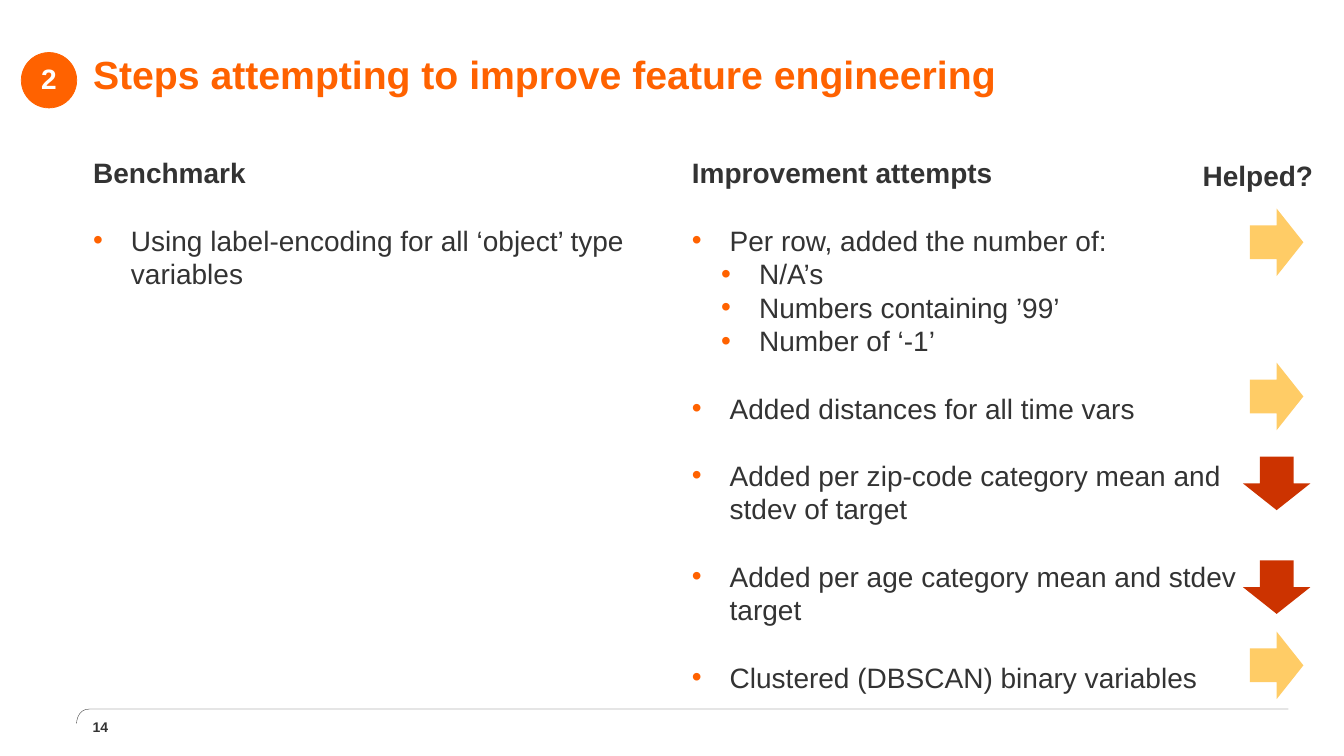
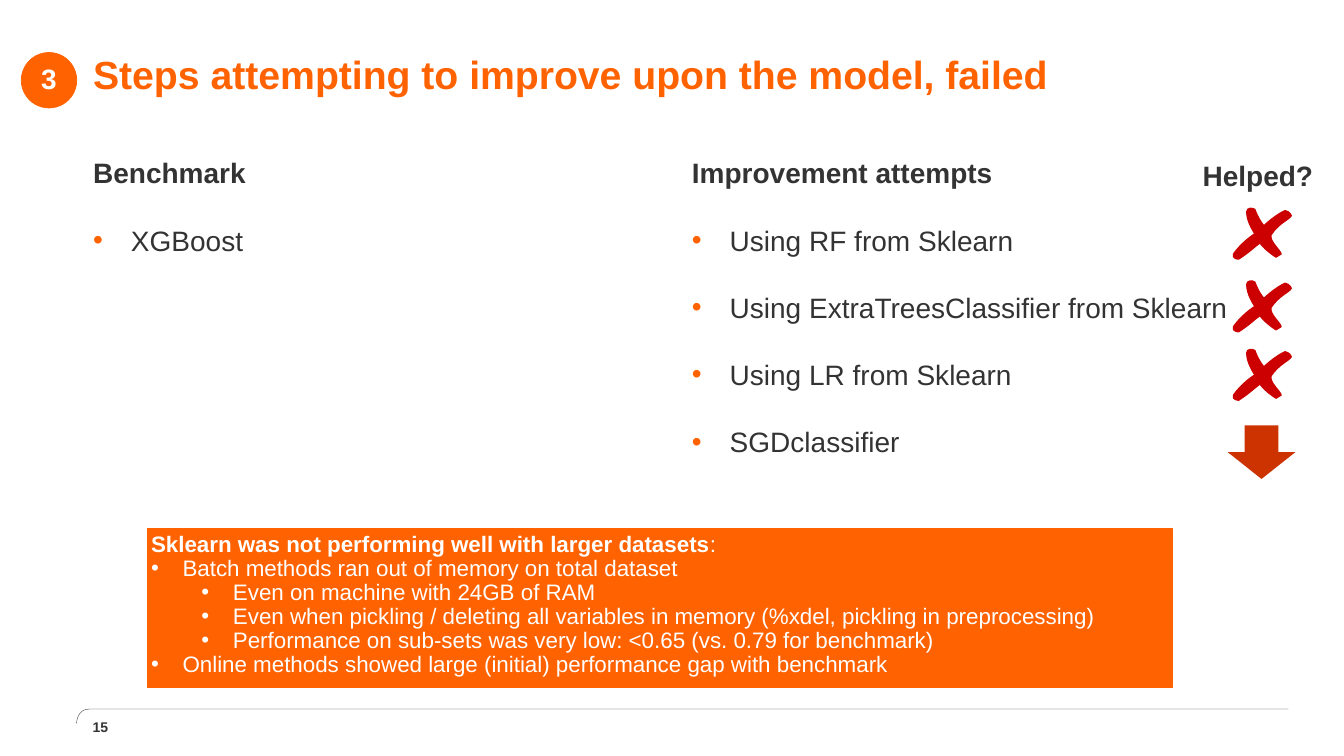
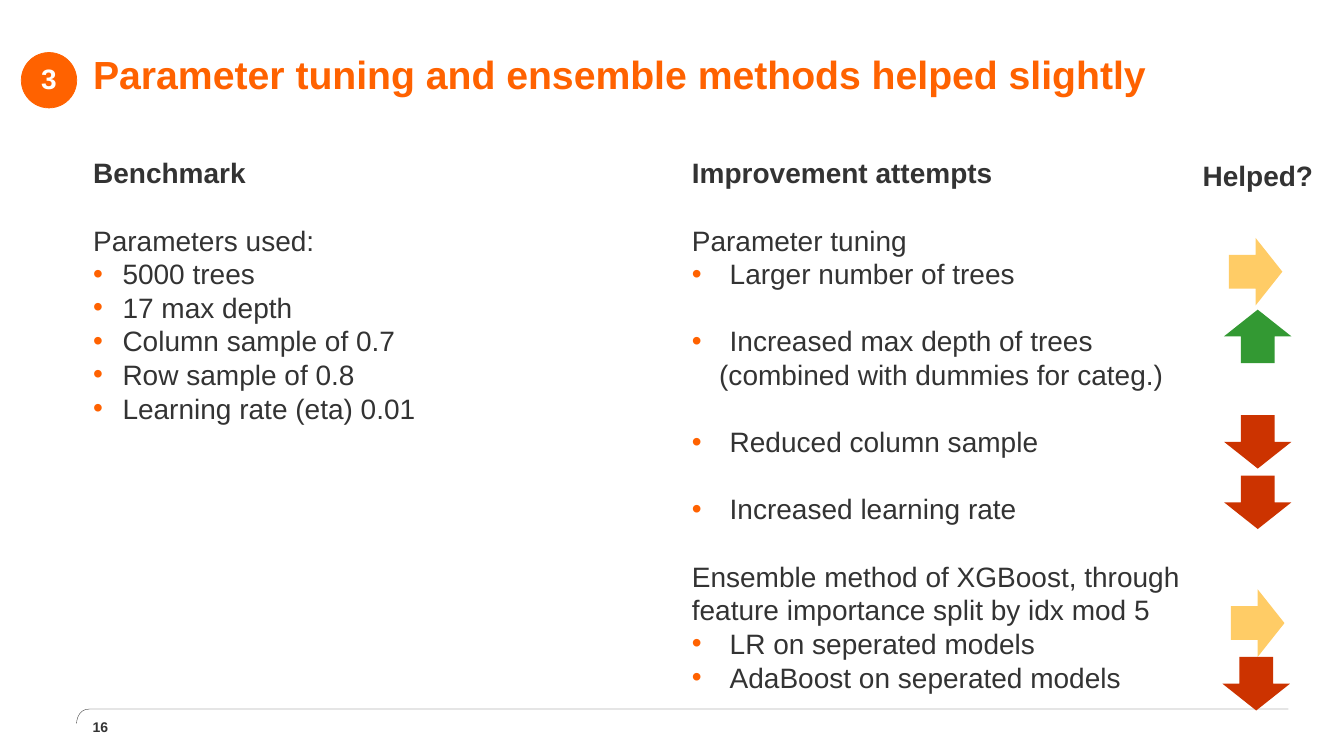
from dataclasses import dataclass

from lxml.etree import SubElement
from pptx import Presentation
from pptx.dml.color import RGBColor
from pptx.enum.shapes import MSO_SHAPE
from pptx.enum.text import MSO_ANCHOR, MSO_AUTO_SIZE, PP_ALIGN
from pptx.oxml.ns import qn
from pptx.util import Pt


@dataclass(frozen=True)
class Theme:
    font: str = "Arial"
    orange: str = "FF6200"
    ink: str = "333333"
    white: str = "FFFFFF"
    amber: str = "FFCC66"
    red: str = "CC3300"
    green: str = "339933"
    cross: str = "CC0000"
    title_size: int = 28
    body_size: int = 20
    panel_size: int = 16
    number_size: int = 10


theme = Theme()

# Text formats: size, colour, bullet colour, line spacing, alignment, anchor, inset
FORMATS = {
    "title": (theme.title_size, theme.orange, theme.orange, Pt(28), PP_ALIGN.LEFT, MSO_ANCHOR.MIDDLE, 0),
    "body": (theme.body_size, theme.ink, theme.orange, Pt(24), PP_ALIGN.LEFT, MSO_ANCHOR.TOP, 0),
    "helped": (theme.body_size, theme.ink, theme.orange, Pt(24), PP_ALIGN.CENTER, MSO_ANCHOR.TOP, 0),
    "badge": (theme.body_size, theme.white, theme.white, 0.9, PP_ALIGN.CENTER, MSO_ANCHOR.MIDDLE, 2.8),
    "panel": (theme.panel_size, theme.white, theme.white, 0.9, PP_ALIGN.LEFT, MSO_ANCHOR.TOP, 2.8),
    "number": (theme.number_size, theme.ink, theme.ink, 1.0, PP_ALIGN.LEFT, MSO_ANCHOR.MIDDLE, 0),
}

# Paragraph kinds: level, left margin, hanging indent (a hanging indent carries a bullet)
KINDS = {
    "heading": (0, 0, 0),
    "plain": (0, 0, 0),
    "bullet": (0, 27, 27),
    "sub": (1, 48, 27),
    "tight": (0, 21, 21),
    "remark": (0, 19.5, 0),
    "point": (0, 22.5, 22.5),
    "detail": (1, 58.5, 22.5),
}

# Boxes: left, top, width, height
LAYOUT_BOXES = {
    0: (66.5, 22.3, 825.8, 67),
    1: (66.5, 111.3, 398.2, 388),
    2: (494.2, 111.3, 398.2, 388),
}
HELPED_BOX = (837, 113, 123, 388)
NUMBER_BOX = (66.2, 512, 39, 15)
BADGE_BOX = (15.2, 37.5, 39.6, 39.6)
PANEL_BOX = (105.1, 377.7, 732.2, 113.2)
ARROW_SIZE = (48.2, 38.2)
ARROWS = {"up": (0, theme.green), "flat": (90, theme.amber), "down": (180, theme.red)}

# Curves: start point, then cubic segments of two controls and an end
RULE_START = (920.2, 506.4)
RULE_SEGMENTS = [
    ((64.1, 506.4), (64.1, 506.4), (64.1, 506.4)),
    ((54.7, 506.4), (54.7, 516.7), (54.7, 516.7)),
]
CROSS_START = (1.4, 33.1)
CROSS_SEGMENTS = [
    ((1.4, 33.1), (6.5, 25.2), (16.6, 18.7)),
    ((11.5, 10.8), (10.8, 5.8), (10.8, 2.9)),
    ((10.8, 0), (15.1, 0), (16.6, 1.4)),
    ((16.6, 1.4), (18.7, 7.9), (23, 13)),
    ((32.4, 4.3), (38.2, 2.2), (38.2, 2.2)),
    ((41.8, 2.9), (42.5, 5.8), (42.5, 5.8)),
    ((41, 8.6), (33.8, 10.8), (28.1, 19.4)),
    ((26.6, 23.8), (34.6, 30.2), (35.3, 33.1)),
    ((33.8, 34.6), (33.8, 34.6), (31.7, 35.3)),
    ((31.7, 35.3), (24.5, 31), (20.2, 25.2)),
    ((15.1, 28.8), (13.7, 31), (5, 36.7)),
    ((5, 36.7), (0, 36.7), (1.4, 33.1)),
]

# Slide content: paragraphs are (kind, text, space before), marks are (outcome, left, top)
SLIDES = [
    {
        "title": "Steps attempting to improve feature engineering",
        "badge": "2",
        "benchmark": [("bullet", "Using label-encoding for all ‘object’ type variables", 24)],
        "attempts": [
            ("bullet", "Per row, added the number of:", 24),
            ("sub", "N/A’s", 0),
            ("sub", "Numbers containing ’99’", 0),
            ("sub", "Number of ‘-1’", 0),
            ("bullet", "Added distances for all time vars", 24),
            ("bullet", "Added per zip-code category mean and stdev of target", 24),
            ("bullet", "Added per age category mean and stdev target", 24),
            ("bullet", "Clustered (DBSCAN) binary variables", 24),
        ],
        "marks": [
            ("flat", 887.8, 154),
            ("flat", 887.8, 264.1),
            ("down", 887.8, 326.2),
            ("down", 887.8, 400.3),
            ("flat", 887.8, 456.2),
        ],
    },
    {
        "title": "Steps attempting to improve upon the model, failed",
        "badge": "3",
        "benchmark": [("bullet", "XGBoost", 24)],
        "attempts": [
            ("bullet", "Using RF from Sklearn", 24),
            ("bullet", "Using ExtraTreesClassifier from Sklearn", 24),
            ("bullet", "Using LR from Sklearn", 24),
            ("bullet", "SGDclassifier", 24),
        ],
        "marks": [
            ("cross", 879.8, 148.3),
            ("cross", 879.8, 200.2),
            ("cross", 879.8, 249.1),
            ("down", 877, 303.9),
        ],
        "panel": [
            ("heading", "Sklearn was not performing well with larger datasets", 0),
            ("point", "Batch methods ran out of memory on total dataset", 0),
            ("detail", "Even on machine with 24GB of RAM", 0),
            ("detail", "Even when pickling / deleting all variables in memory (%xdel, pickling in preprocessing)", 0),
            ("detail", "Performance on sub-sets was very low: <0.65 (vs. 0.79 for benchmark)", 0),
            ("point", "Online methods showed large (initial) performance gap with benchmark", 0),
        ],
    },
    {
        "title": "Parameter tuning and ensemble methods helped slightly",
        "badge": "3",
        "benchmark": [
            ("plain", "Parameters used:", 24),
            ("tight", "5000 trees", 0),
            ("tight", "17 max depth", 0),
            ("tight", "Column sample of 0.7", 0),
            ("tight", "Row sample of 0.8", 0),
            ("tight", "Learning rate (eta) 0.01", 0),
        ],
        "attempts": [
            ("plain", "Parameter tuning", 24),
            ("bullet", "Larger number of trees", 0),
            ("bullet", "Increased max depth of trees", 24),
            ("remark", "(combined with dummies for categ.)", 0),
            ("bullet", "Reduced column sample", 24),
            ("bullet", "Increased learning rate", 24),
            ("plain", "Ensemble method of XGBoost, through feature importance split by idx mod 5", 24),
            ("bullet", "LR on seperated models", 0),
            ("bullet", "AdaBoost on seperated models", 0),
        ],
        "marks": [
            ("flat", 872.8, 175),
            ("down", 874.3, 296.5),
            ("down", 874.3, 339.7),
            ("up", 874.3, 221.2),
            ("flat", 874.3, 426),
            ("down", 873.2, 469.3),
        ],
    },
]
FIRST_NUMBER = 14


def write_text(shape, format_name, items):
    """Fill a shape with formatted paragraphs."""
    size, color, bullet_color, spacing, alignment, anchor, inset = FORMATS[format_name]
    frame = shape.text_frame
    frame_values = {"word_wrap": True, "auto_size": MSO_AUTO_SIZE.NONE, "vertical_anchor": anchor}
    for side in ("left", "top", "right", "bottom"):
        frame_values[f"margin_{side}"] = Pt(inset)
    for name, value in frame_values.items():
        setattr(frame, name, value)
    for index, (kind, text, gap) in enumerate(items):
        level, margin, hanging = KINDS[kind]
        paragraph = frame.add_paragraph() if index else frame.paragraphs[0]
        paragraph_values = {"level": level, "alignment": alignment, "line_spacing": spacing,
                            "space_before": Pt(gap), "space_after": Pt(0)}
        for name, value in paragraph_values.items():
            setattr(paragraph, name, value)
        properties = paragraph._p.get_or_add_pPr()
        properties.set("marL", str(Pt(margin)))
        properties.set("indent", str(-Pt(hanging)))
        if hanging:
            bullet_fill = SubElement(properties, qn("a:buClr"))
            SubElement(bullet_fill, qn("a:srgbClr"), val=bullet_color)
            SubElement(properties, qn("a:buFont"), typeface=theme.font)
            SubElement(properties, qn("a:buChar"), char="•")
        else:
            SubElement(properties, qn("a:buNone"))
        # A bold lead-in ends in a regular colon on the panel
        runs = [(text, kind == "heading")]
        if format_name == "panel" and kind == "heading":
            runs.append((":", False))
        for words, bold in runs:
            run = paragraph.add_run()
            run.text = words
            font_values = {"name": theme.font, "size": Pt(size), "bold": bold}
            for name, value in font_values.items():
                setattr(run.font, name, value)
            run.font.color.rgb = RGBColor.from_string(color)


def draw_curve(slide, left, top, start, segments, close):
    """Build a freeform in hundredths of a point, then join each three points into a cubic curve."""
    points = [(100 * x, 100 * y) for segment in segments for x, y in segment]
    builder = slide.shapes.build_freeform(100 * start[0], 100 * start[1], scale=Pt(1) / 100)
    builder.add_line_segments(points, close=close)
    shape = builder.convert_to_shape(Pt(left), Pt(top))
    shape.shadow.inherit = False
    lines = list(shape.element.iter(qn("a:lnTo")))
    for index in range(0, 3 * len(segments), 3):
        first, second, end = lines[index:index + 3]
        first.tag = qn("a:cubicBezTo")
        for line in (second, end):
            first.append(line[0])
            line.getparent().remove(line)
    return shape


presentation = Presentation()
presentation.slide_width, presentation.slide_height = Pt(960), Pt(540)

# Shared placeholder positions
layout = presentation.slide_layouts[3]
for placeholder in layout.placeholders:
    box = LAYOUT_BOXES.get(placeholder.placeholder_format.idx)
    if box:
        for name, value in zip(("left", "top", "width", "height"), box):
            setattr(placeholder, name, Pt(value))

for number, content in enumerate(SLIDES, FIRST_NUMBER):
    slide = presentation.slides.add_slide(layout)
    shapes = slide.shapes

    # Title and the two columns
    write_text(shapes.title, "title", [("heading", content["title"], 0)])
    write_text(slide.placeholders[1], "body", [("heading", "Benchmark", 0)] + content["benchmark"])
    write_text(slide.placeholders[2], "body", [("heading", "Improvement attempts", 0)] + content["attempts"])

    # Slide number and column label
    for box, format_name, text in ((NUMBER_BOX, "number", str(number)), (HELPED_BOX, "helped", "Helped?")):
        write_text(shapes.add_textbox(*map(Pt, box)), format_name, [("heading", text, 0)])

    # Step badge and, where there is one, the findings panel
    blocks = [(MSO_SHAPE.OVAL, BADGE_BOX, "badge", [("heading", content["badge"], 0)])]
    if "panel" in content:
        blocks.append((MSO_SHAPE.RECTANGLE, PANEL_BOX, "panel", content["panel"]))
    for geometry, box, format_name, items in blocks:
        block = shapes.add_shape(geometry, *map(Pt, box))
        block.shadow.inherit = False
        block.fill.solid()
        block.fill.fore_color.rgb = RGBColor.from_string(theme.orange)
        block.line.color.rgb = RGBColor.from_string(theme.orange)
        block.line.width = Pt(0.5)
        write_text(block, format_name, items)

    # Outcome marks
    for outcome, left, top in content["marks"]:
        if outcome == "cross":
            color = theme.cross
            mark = draw_curve(slide, left, top, CROSS_START, CROSS_SEGMENTS, True)
            mark.line.color.rgb = RGBColor.from_string(color)
            mark.line.width = Pt(1)
        else:
            rotation, color = ARROWS[outcome]
            mark = shapes.add_shape(MSO_SHAPE.UP_ARROW, Pt(left), Pt(top), *map(Pt, ARROW_SIZE))
            mark.rotation = rotation
            mark.shadow.inherit = False
            mark.line.fill.background()
        mark.fill.solid()
        mark.fill.fore_color.rgb = RGBColor.from_string(color)

# Footer rule, moved to the layout so that every slide shows it
rule = draw_curve(presentation.slides[0], 0, 0, RULE_START, RULE_SEGMENTS, False)
rule.fill.background()
rule.line.color.rgb = RGBColor.from_string(theme.ink)
rule.line.width = Pt(0.25)
layout.shapes.element.append(rule.element)

presentation.save("out.pptx")
